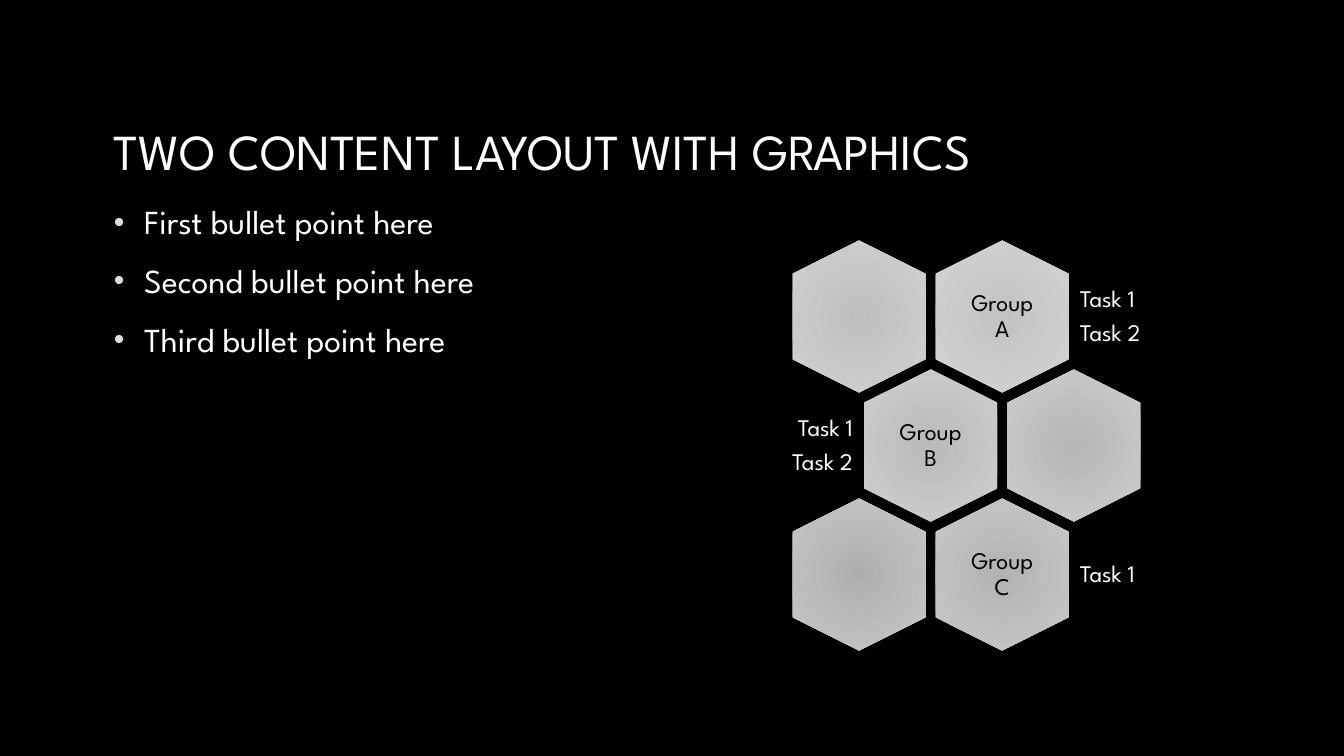
import pptx
import pptx.util
import pptx.dml.color
import pptx.enum.text
import pptx.enum.shapes
import pptx.oxml
import pptx.oxml.ns

Inch, Pt = pptx.util.Inches, pptx.util.Pt
RGB = pptx.dml.color.RGBColor
Align, Anchor = pptx.enum.text.PP_ALIGN, pptx.enum.text.MSO_ANCHOR

# Content
HEAD = "TWO CONTENT LAYOUT WITH GRAPHICS"
BULLETS = ["First bullet point here", "Second bullet point here",
           "Third bullet point here"]
# Cells: row, column, label, tasks, side of tasks, centre grey, edge grey
CELLS = [
    (0, 1, "Group A", ["Task 1", "Task 2"], 1, "C2C2C2", "D4D4D4"),
    (0, 0, "", [], 0, "BEBEBE", "D2D2D2"),
    (1, 0.5, "Group B", ["Task 1", "Task 2"], -1, "BABABA", "CFCFCF"),
    (1, 1.5, "", [], 0, "B6B6B6", "CDCDCD"),
    (2, 1, "Group C", ["Task 1"], 1, "B2B2B2", "CACACA"),
    (2, 0, "", [], 0, "AEAEAE", "C8C8C8"),
]

# Style
FONT = "League Spartan"
BLACK, WHITE = RGB(0, 0, 0), RGB(255, 255, 255)
DOT = RGB(0xDD, 0xDD, 0xDD)

# Honeycomb grid, in inches
LEFT, TOP = 8.52, 3.14            # centre of the first cell
STEP_X, STEP_Y = 1.42, 1.28
HEX_W, HEX_H = 1.51, 1.32         # before the quarter turn
TASK_W, TASK_H, REACH = 1.66, 0.91, 0.7

deck = pptx.Presentation()
deck.slide_width, deck.slide_height = Inch(13.33), Inch(7.5)
slide = deck.slides.add_slide(deck.slide_layouts[1])
slide.background.fill.solid()
slide.background.fill.fore_color.rgb = BLACK


def place(shape, x, y, w, h):
    shape.left, shape.top, shape.width, shape.height = map(Inch, (x, y, w, h))


def write(shape, lines, size, color, pad, anchor, **form):
    frame = shape.text_frame
    look = dict(margin_left=Inch(pad), margin_right=Inch(pad),
                margin_top=Inch(0.07), margin_bottom=Inch(0.07),
                word_wrap=True, vertical_anchor=anchor,
                auto_size=pptx.enum.text.MSO_AUTO_SIZE.NONE)
    for key, val in look.items():
        setattr(frame, key, val)
    frame.text = "\n".join(lines)
    for para in frame.paragraphs:
        for key, val in form.items():
            setattr(para, key, val)
        font = para.runs[0].font
        font.name, font.size, font.color.rgb = FONT, Pt(size), color


def note(x, y, w, h, lines, color, align):
    box = slide.shapes.add_textbox(0, 0, 0, 0)
    place(box, x, y, w, h)
    write(box, lines, 17, color, 0.07, Anchor.MIDDLE, alignment=align,
          line_spacing=0.9, space_after=Pt(6))


def glow(shape, inner, outer):
    grad = pptx.oxml.parse_xml(
        f'<a:gradFill {pptx.oxml.ns.nsdecls("a")} rotWithShape="1"><a:gsLst>'
        f'<a:gs pos="0"><a:srgbClr val="{inner}"/></a:gs>'
        f'<a:gs pos="100000"><a:srgbClr val="{outer}"/></a:gs></a:gsLst>'
        '<a:path path="circle"><a:fillToRect l="100000" t="100000" '
        'r="100000" b="100000"/></a:path></a:gradFill>')
    shape._element.spPr.find(pptx.oxml.ns.qn("a:prstGeom")).addnext(grad)


# Title and list
title, body = slide.placeholders
place(title, 1, 0.53, 11.33, 1.33)
write(title, [HEAD], 36, WHITE, 0.13, Anchor.BOTTOM,
      alignment=Align.LEFT, line_spacing=0.8)
place(body, 1, 1.97, 5.44, 4.89)
write(body, BULLETS, 24, WHITE, 0.13, Anchor.TOP, alignment=Align.LEFT,
      line_spacing=0.9, space_before=Pt(16))
for para in body.text_frame.paragraphs:
    prop = para._p.get_or_add_pPr()
    prop.set("marL", str(Inch(0.3)))
    prop.set("indent", str(-Inch(0.3)))
    for tag in (f'buClr %s><a:srgbClr val="{DOT}"/></a:buClr',
                'buSzPct %s val="90000"/', 'buFont %s typeface="Arial"/',
                'buChar %s char="•"/'):
        prop.append(pptx.oxml.parse_xml(
            "<a:" + tag % pptx.oxml.ns.nsdecls("a") + ">"))

# Honeycomb with labels and tasks
for row, col, label, tasks, side, inner, outer in CELLS:
    x, y = LEFT + col * STEP_X, TOP + row * STEP_Y
    cell = slide.shapes.add_shape(
        pptx.enum.shapes.MSO_SHAPE.HEXAGON, 0, 0, 0, 0)
    place(cell, x - HEX_W / 2, y - HEX_H / 2, HEX_W, HEX_H)
    cell.rotation = 90
    cell.shadow.inherit = False
    cell.line.fill.background()
    glow(cell, inner, outer)
    if label:
        note(x - 0.455, y - 0.52, 0.91, 1.04, [label], BLACK, Align.CENTER)
    if tasks:
        start = x + REACH if side > 0 else x - REACH - TASK_W
        note(start, y - TASK_H / 2, TASK_W, TASK_H, tasks, WHITE,
             Align.LEFT if side > 0 else Align.RIGHT)

deck.save("out.pptx")
